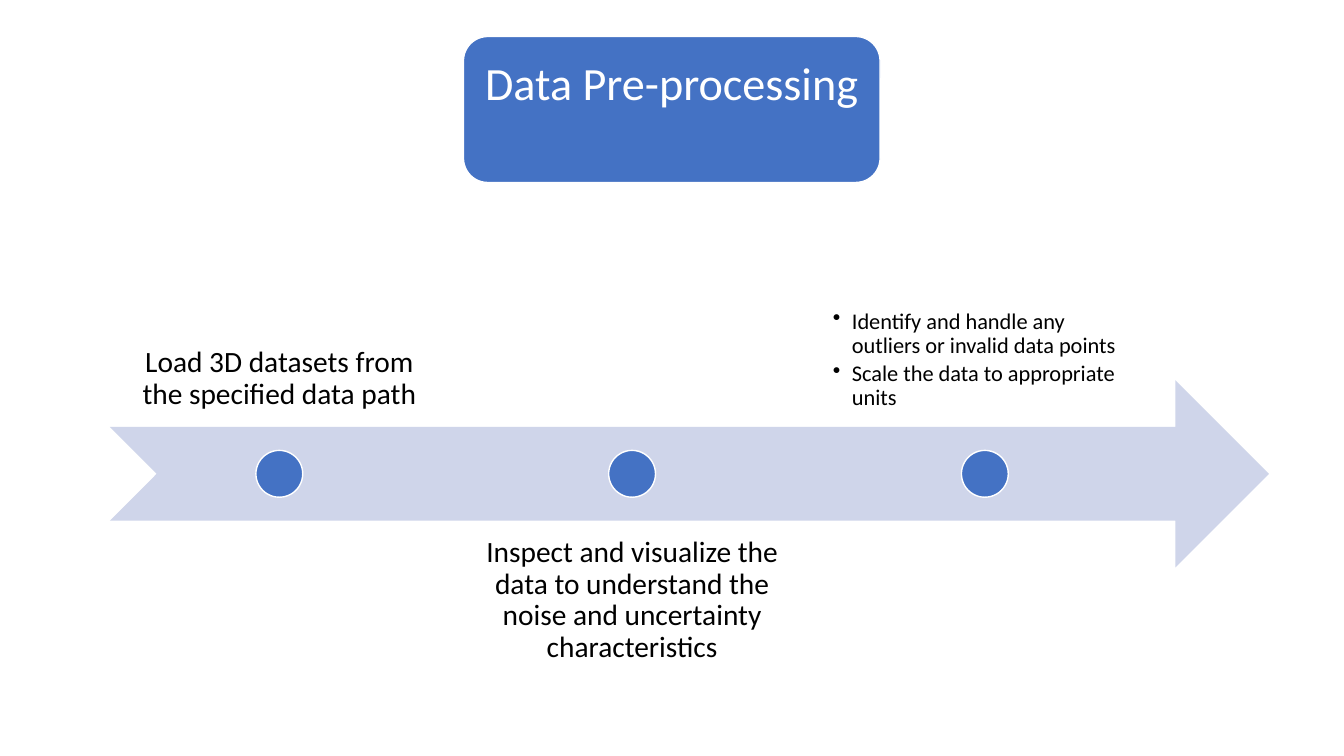
from lxml import etree
from pptx import Presentation
from pptx.dml.color import RGBColor
from pptx.enum import shapes, text
from pptx.oxml import ns
from pptx.util import Cm, Pt

BLUE = RGBColor(0x44, 0x72, 0xC4)
PALE_BLUE = RGBColor(0xCF, 0xD5, 0xEA)
WHITE = RGBColor(0xFF, 0xFF, 0xFF)
BLACK = RGBColor(0, 0, 0)

STEPS = [
    ["Load 3D datasets from the specified data path"],
    ["Inspect and visualize the data to understand the noise and uncertainty characteristics"],
    ["Identify and handle any outliers or invalid data points",
     "Scale the data to appropriate units"],
]


def add_bullet(para):
    props = para._p.get_or_add_pPr()
    props.set("marL", str(Cm(0.48)))
    props.set("indent", str(-Cm(0.48)))
    etree.SubElement(props, ns.qn("a:buChar")).set("char", "•")


def write(shape, lines, size, color=BLACK, anchor=text.MSO_ANCHOR.TOP,
          inset=0.41, top_inset=0.41, bullets=False):
    frame = shape.text_frame
    frame.word_wrap = True
    frame.vertical_anchor = anchor
    frame.margin_left = frame.margin_right = frame.margin_bottom = Cm(inset)
    frame.margin_top = Cm(top_inset)
    for index, line in enumerate(lines):
        para = frame.paragraphs[0] if index == 0 else frame.add_paragraph()
        para.alignment = text.PP_ALIGN.LEFT if bullets else text.PP_ALIGN.CENTER
        para.line_spacing = 0.9
        if bullets:
            para.space_before = Pt(3)
            add_bullet(para)
        span = para.add_run()
        span.text = line
        span.font.name = "Calibri"
        span.font.size = Pt(size)
        span.font.color.rgb = color


def add_figure(page, kind, left, top, width, height, fill, outlined=True):
    shape = page.shapes.add_shape(kind, Cm(left), Cm(top), Cm(width), Cm(height))
    shape.shadow.inherit = False
    shape.fill.solid()
    shape.fill.fore_color.rgb = fill
    if outlined:
        shape.line.color.rgb = WHITE
        shape.line.width = Pt(1)
    else:
        shape.line.fill.background()
    return shape


def add_title(page, left, top, width, height):
    box = add_figure(page, shapes.MSO_SHAPE.ROUNDED_RECTANGLE,
                     left, top, width, height, BLUE)
    write(box, ["Data Pre-processing"], 33, WHITE, inset=0.3, top_inset=0.44)


def add_timeline(page, left, top, width, height):
    add_figure(page, shapes.MSO_SHAPE.NOTCHED_RIGHT_ARROW,
               left, top, width, height, PALE_BLUE, outlined=False)
    pitch, label_width, dot = 8.89, 8.48, height / 4
    for index, lines in enumerate(STEPS):
        label_left = left + 0.03 + index * pitch
        below = index % 2 == 1
        bullets = len(lines) > 1
        label_top = top + height * (0.75 if below else -0.75)
        label = page.shapes.add_textbox(Cm(label_left), Cm(label_top),
                                        Cm(label_width), Cm(height))
        write(label, lines, 16 if bullets else 21, bullets=bullets,
              anchor=text.MSO_ANCHOR.TOP if below else text.MSO_ANCHOR.BOTTOM)
        add_figure(page, shapes.MSO_SHAPE.OVAL,
                   label_left + (label_width - dot) / 2,
                   top + (height - dot) / 2, dot, dot, BLUE)


def main():
    deck = Presentation()
    deck.slide_width, deck.slide_height = Cm(33.87), Cm(19.05)
    page = deck.slides.add_slide(deck.slide_layouts[6])
    add_title(page, 11.68, 0.92, 10.5, 3.68)
    add_timeline(page, 2.77, 9.58, 29.21, 4.72)
    deck.save("out.pptx")


if __name__ == "__main__":
    main()
